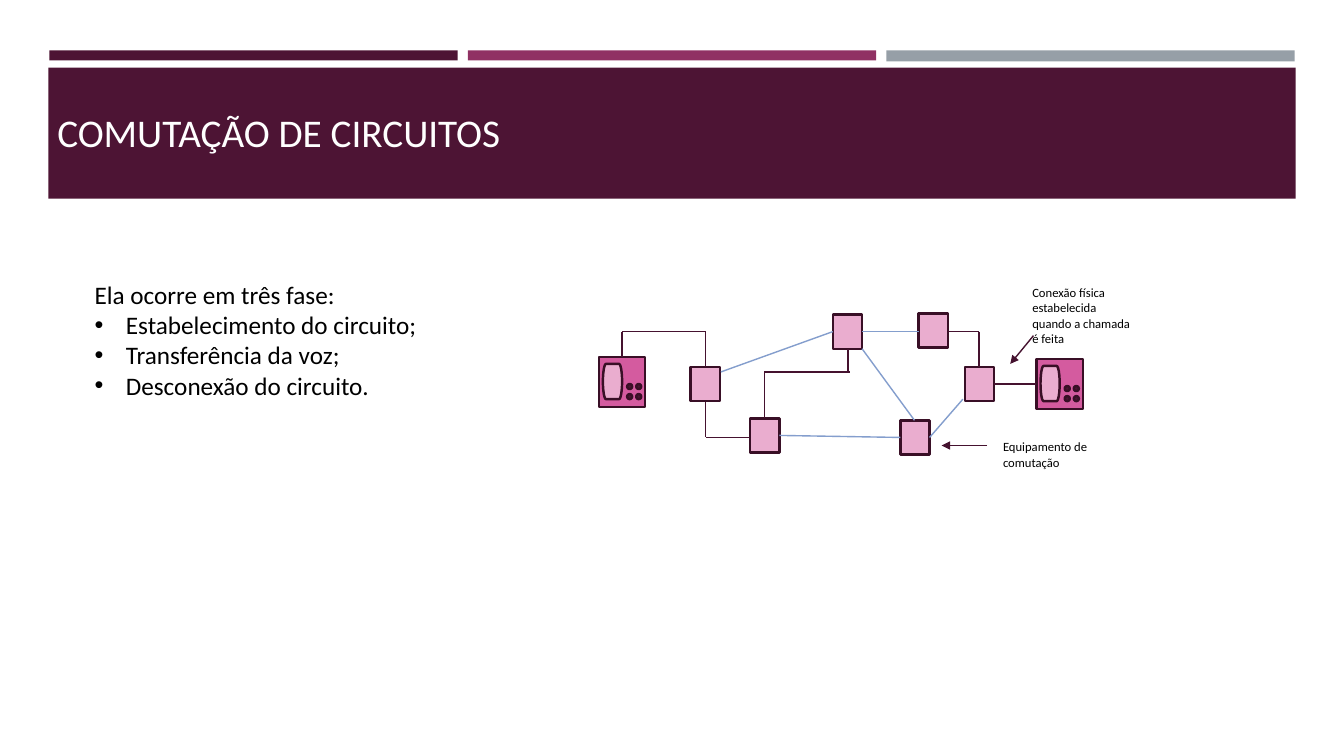
import itertools
from dataclasses import dataclass

import pptx
import pptx.dml.color
import pptx.enum.shapes
import pptx.enum.text
import pptx.oxml
import pptx.oxml.ns
import pptx.util

EMU_PER_PX = 9144
SHAPE = pptx.enum.shapes.MSO_SHAPE
ANCHOR = pptx.enum.text.MSO_ANCHOR


@dataclass(frozen=True)
class Theme:
    font: str = "Calibri"
    plum: str = "4D1434"
    magenta: str = "903163"
    grey: str = "969FA7"
    phone: str = "D45B9F"
    light: str = "EAADCF"
    outline: str = "390F26"
    wire: str = "45122F"
    trunk: str = "849ECD"
    white: str = "FFFFFF"
    black: str = "000000"
    title_pt: int = 28
    body_pt: int = 18
    label_pt: int = 9
    outline_pt: float = 1.75
    wire_pt: float = 1


@dataclass(frozen=True)
class Box:
    x: int
    y: int
    w: int
    h: int


@dataclass(frozen=True)
class Wire:
    points: tuple[tuple[int, int], ...]
    color: str
    arrow: bool = False


@dataclass(frozen=True)
class Text:
    box: Box
    lines: tuple[str, ...]
    size: int
    color: str
    anchor: ANCHOR = ANCHOR.TOP
    bullets_from: int | None = None


THEME = Theme()

BARS = (
    (Box(49, 50, 405, 10), THEME.plum),
    (Box(464, 50, 405, 10), THEME.magenta),
    (Box(879, 50, 405, 11), THEME.grey),
    (Box(48, 67, 1237, 130), THEME.plum),
)

PHONES = ((594, 354), (1028, 356))
KEY_COLUMNS = (28, 37)
KEY_ROWS = (27, 37)

SWITCHES = ((685, 364), (744, 415), (826, 312), (893, 417), (957, 364), (911, 311))

WIRES = (
    Wire(((617, 354), (617, 329), (700, 329), (700, 364)), THEME.wire),
    Wire(((700, 399), (700, 434), (744, 434)), THEME.wire),
    Wire(((758, 415), (758, 369), (843, 369)), THEME.wire),
    Wire(((841, 369), (841, 346)), THEME.wire),
    Wire(((940, 329), (971, 329), (971, 364)), THEME.wire),
    Wire(((986, 381), (1028, 381)), THEME.wire),
    Wire(((715, 369), (826, 329)), THEME.trunk),
    Wire(((855, 329), (911, 329)), THEME.trunk),
    Wire(((855, 346), (907, 417)), THEME.trunk),
    Wire(((773, 432), (893, 434)), THEME.trunk),
    Wire(((922, 434), (955, 396)), THEME.trunk),
    Wire(((1025, 333), (1002, 361)), THEME.wire, arrow=True),
    Wire(((979, 442), (934, 442)), THEME.wire, arrow=True),
)

TEXTS = (
    Text(Box(47, 48, 1206, 111), ("COMUTAÇÃO DE CIRCUITOS",),
         THEME.title_pt, THEME.white, ANCHOR.BOTTOM),
    Text(Box(84, 272, 445, 131),
         ("Ela ocorre em três fase:", "Estabelecimento do circuito;",
          "Transferência da voz;", "Desconexão do circuito."),
         THEME.body_pt, THEME.black, bullets_from=1),
    Text(Box(1014, 278, 124, 56),
         ("Conexão física estabelecida quando a chamada é feita",),
         THEME.label_pt, THEME.black),
    Text(Box(985, 431, 124, 40), ("Equipamento de comutação",),
         THEME.label_pt, THEME.black),
)


def px(n: int) -> pptx.util.Emu:
    return pptx.util.Emu(n * EMU_PER_PX)


def rgb(color: str) -> pptx.dml.color.RGBColor:
    return pptx.dml.color.RGBColor.from_string(color)


def add_block(s, kind: SHAPE, box: Box, fill: str, outlined: bool = True) -> None:
    sp = s.shapes.add_shape(kind, px(box.x), px(box.y), px(box.w), px(box.h))
    sp.shadow.inherit = False
    sp.fill.solid()
    sp.fill.fore_color.rgb = rgb(fill)
    if outlined:
        sp.line.color.rgb = rgb(THEME.outline)
        sp.line.width = pptx.util.Pt(THEME.outline_pt)
    else:
        sp.line.fill.background()


def add_phone(s, x: int, y: int) -> None:
    add_block(s, SHAPE.RECTANGLE, Box(x, y, 46, 50), THEME.phone)
    add_block(s, SHAPE.FLOWCHART_TERMINATOR, Box(x + 4, y + 7, 19, 35), THEME.light)
    for dx, dy in itertools.product(KEY_COLUMNS, KEY_ROWS):
        add_block(s, SHAPE.FLOWCHART_CONNECTOR, Box(x + dx, y + dy, 5, 5), THEME.plum)


def add_wire(s, wire: Wire) -> None:
    for (x1, y1), (x2, y2) in itertools.pairwise(wire.points):
        cx = s.shapes.add_connector(
            pptx.enum.shapes.MSO_CONNECTOR.STRAIGHT, px(x1), px(y1), px(x2), px(y2))
        cx.line.color.rgb = rgb(wire.color)
        cx.line.width = pptx.util.Pt(THEME.wire_pt)
        if wire.arrow:
            tail = pptx.oxml.parse_xml(
                f'<a:tailEnd {pptx.oxml.ns.nsdecls("a")} type="triangle"/>')
            cx.line._get_or_add_ln().append(tail)
        cx._element.spPr.append(
            pptx.oxml.parse_xml(f'<a:effectLst {pptx.oxml.ns.nsdecls("a")}/>'))


def add_bullet(p) -> None:
    pPr = p._p.get_or_add_pPr()
    pPr.set("marL", str(px(31)))
    pPr.set("indent", str(px(-31)))
    for tag in ('buFont typeface="Arial"', 'buChar char="•"'):
        name, attribute = tag.split(" ")
        pPr.append(pptx.oxml.parse_xml(
            f'<a:{name} {pptx.oxml.ns.nsdecls("a")} {attribute}/>'))


def add_text(s, text: Text) -> None:
    box = text.box
    sp = s.shapes.add_textbox(px(box.x), px(box.y), px(box.w), px(box.h))
    tf = sp.text_frame
    tf.word_wrap = True
    tf.vertical_anchor = text.anchor
    tf.text = "\n".join(text.lines)
    for i, p in enumerate(tf.paragraphs):
        if text.bullets_from is not None and i >= text.bullets_from:
            add_bullet(p)
        for r in p.runs:
            r.font.name = THEME.font
            r.font.size = pptx.util.Pt(text.size)
            r.font.color.rgb = rgb(text.color)


def main() -> None:
    prs = pptx.Presentation()
    prs.slide_width, prs.slide_height = px(1333), px(750)
    s = prs.slides.add_slide(prs.slide_layouts[6])
    for box, color in BARS:
        add_block(s, SHAPE.RECTANGLE, box, color, outlined=False)
    for x, y in PHONES:
        add_phone(s, x, y)
    for x, y in SWITCHES:
        add_block(s, SHAPE.FLOWCHART_PROCESS, Box(x, y, 29, 34), THEME.light)
    for wire in WIRES:
        add_wire(s, wire)
    for text in TEXTS:
        add_text(s, text)
    prs.save("out.pptx")


if __name__ == "__main__":
    main()
